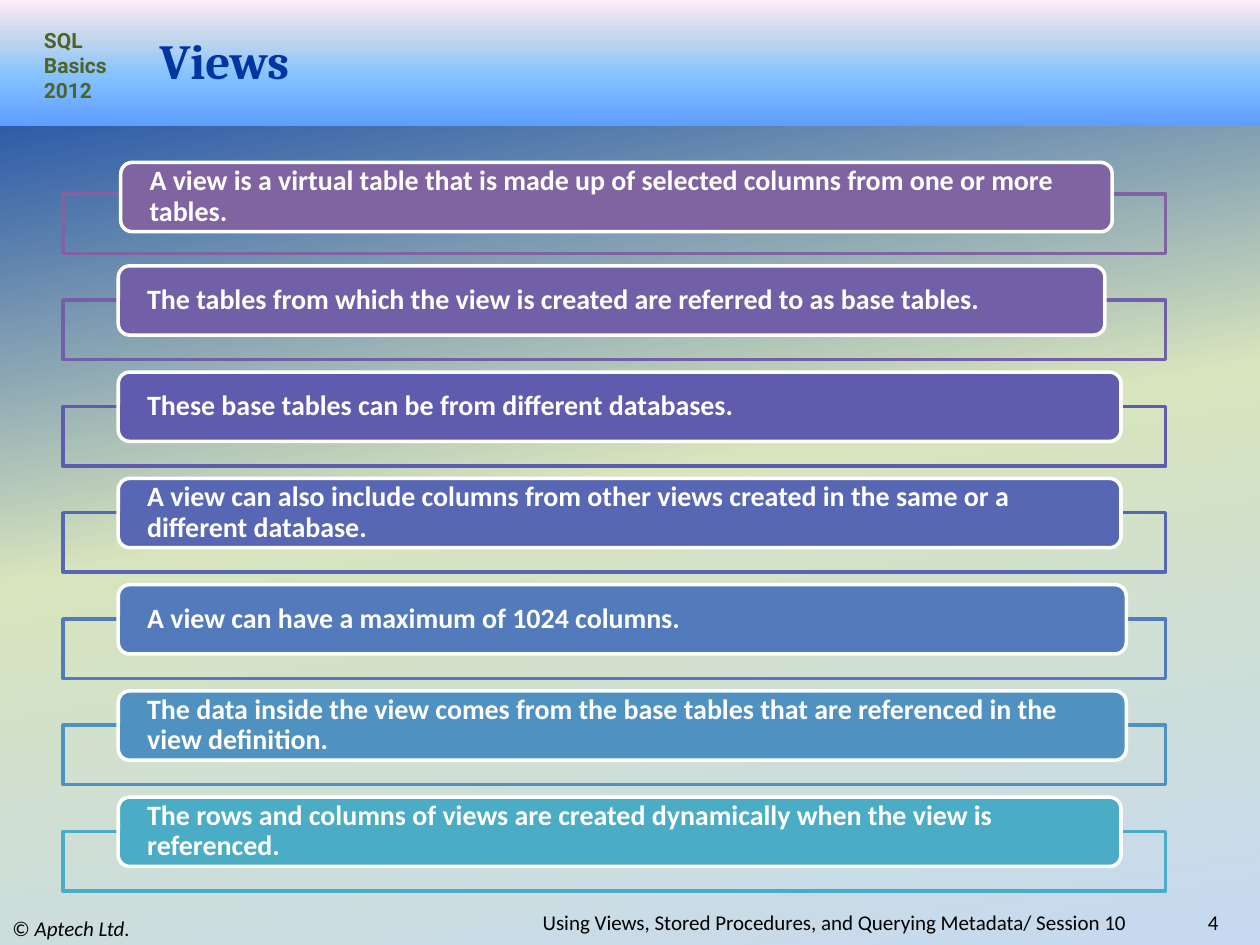
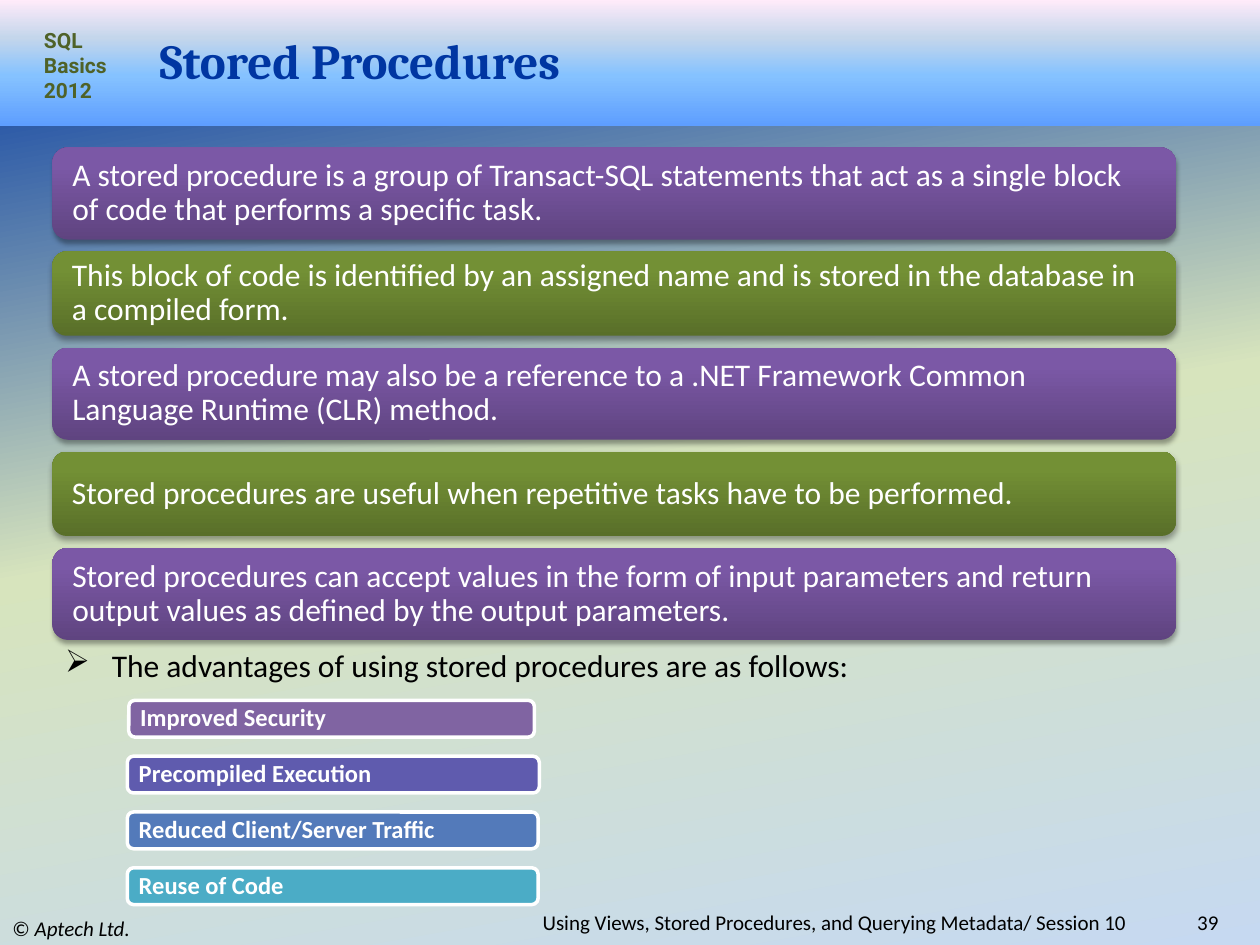
from lxml.etree import SubElement
from pptx import Presentation
from pptx.dml.color import RGBColor
from pptx.enum.shapes import MSO_SHAPE
from pptx.enum.text import MSO_ANCHOR, MSO_AUTO_SIZE, PP_ALIGN
from pptx.oxml.ns import qn
from pptx.util import Pt

COLORS = {
    "title": "0036A2",
    "course": "4F6228",
    "text": "000000",
    "white": "FFFFFF",
}
STEP_COLORS = ["8064A2", "7160A8", "5F5BAE", "5767B4", "537ABA", "4F91C0", "4BACC6"]
PAGE_GRADIENT = [(0, "0036A2"), (50, "D7E4BD"), (100, "C6D9F1")]
BAND_GRADIENT = [(0, "5E9EFF"), (40, "85C2FF"), (70, "C4D6EB"), (100, "FFEBFA")]
CARD_GRADIENTS = [
    [(0, "5F4480"), (80, "7B58A6"), (100, "7C57A8")],
    [(0, "596F29"), (80, "739035"), (100, "749334")],
]
FOOTER = "Using Views, Stored Procedures, and Querying Metadata/ Session 10"

VIEW_FACTS = [  # text, card width
    ("A view is a virtual table that is made up of selected columns from one or more tables.", 566.6),
    ("The tables from which the view is created are referred to as base tables.", 563.8),
    ("These base tables can be from different databases.", 573),
    ("A view can also include columns from other views created in the same or a different database.", 573),
    ("A view can have a maximum of 1024 columns.", 576),
    ("The data inside the view comes from the base tables that are referenced in the view definition.", 576),
    ("The rows and columns of views are created dynamically when the view is referenced.", 573),
]
PROCEDURE_FACTS = [
    "A stored procedure is a group of Transact-SQL statements that act as a single block of code "
    "that performs a specific task.",
    "This block of code is identified by an assigned name and is stored in the database in a compiled form.",
    "A stored procedure may also be a reference to a .NET Framework Common Language Runtime (CLR) method.",
    "Stored procedures are useful when repetitive tasks have to be performed.",
    "Stored procedures can accept values in the form of input parameters and return output values "
    "as defined by the output parameters.",
]
ADVANTAGES = [  # text, label width
    ("Improved Security", 231.8),
    ("Precompiled Execution", 235.4),
    ("Reduced Client/Server Traffic", 234.7),
    ("Reuse of Code", 234.7),
]


def rgb(color):
    return RGBColor.from_string(color)


def paint_gradient(fill, element, stops, angle):
    """Fill with colour stops; angle runs counter-clockwise."""
    fill.gradient()
    fill.gradient_angle = angle
    stop_list = next(element.iter(qn("a:gsLst")))
    for stop in list(stop_list):
        stop_list.remove(stop)
    for position, color in stops:
        stop = SubElement(stop_list, qn("a:gs"), pos=str(position * 1000))
        SubElement(stop, qn("a:srgbClr"), val=color)


def write(box, *spans, size=12, font="Calibri", color=COLORS["text"], bold=False, align=PP_ALIGN.LEFT,
          anchor=MSO_ANCHOR.MIDDLE, insets=(7.2, 3.6, 7.2, 3.6), spacing=None, bullet=None, hang=26.6):
    """Write spans, each a text or a (text, italic) pair, as one paragraph."""
    frame = box.text_frame
    frame.word_wrap = True
    frame.auto_size = MSO_AUTO_SIZE.NONE
    frame.vertical_anchor = anchor
    frame.margin_left, frame.margin_top, frame.margin_right, frame.margin_bottom = map(Pt, insets)
    para = frame.paragraphs[0]
    para.alignment = align
    if spacing:
        para.line_spacing = spacing
    if bullet:
        properties = para._p.get_or_add_pPr()
        properties.set("marL", str(Pt(hang)))
        properties.set("indent", str(-Pt(hang)))
        SubElement(properties, qn("a:buChar"), char=bullet)
    for span in spans:
        text, italic = span if isinstance(span, tuple) else (span, False)
        run = para.add_run()
        run.text = text
        run.font.name, run.font.size = font, Pt(size)
        run.font.bold, run.font.italic = bold, italic
        run.font.color.rgb = rgb(color)


def add_text(page, left, top, width, height, *spans, **style):
    box = page.shapes.add_textbox(Pt(left), Pt(top), Pt(width), Pt(height))
    write(box, *spans, **style)


def add_block(page, kind, left, top, width, height, fill=None, line=None):
    """Preset shape with a plain or gradient fill and an optional outline."""
    block = page.shapes.add_shape(kind, Pt(left), Pt(top), Pt(width), Pt(height))
    block.shadow.inherit = False
    if fill is None:
        block.fill.background()
    elif isinstance(fill, list):
        paint_gradient(block.fill, block.element, fill, 90)
    else:
        block.fill.solid()
        block.fill.fore_color.rgb = rgb(fill)
    if line:
        block.line.color.rgb = rgb(line)
        block.line.width = Pt(2)
    else:
        block.line.fill.background()
    return block


def add_label(page, left, top, width, height, text, fill, size, inset):
    """Rounded label with a white outline and bold white text."""
    label = add_block(page, MSO_SHAPE.ROUNDED_RECTANGLE, left, top, width, height, fill, COLORS["white"])
    write(label, text, size=size, color=COLORS["white"], bold=True, spacing=0.9, insets=(inset, 0, inset, 0))


def drop_shadow(block):
    effects = block.element.spPr.find(qn("a:effectLst"))
    shadow = SubElement(effects, qn("a:outerShdw"), blurRad=str(Pt(3.1)), dist=str(Pt(1.8)),
                        dir="5400000", rotWithShape="0")
    color = SubElement(shadow, qn("a:srgbClr"), val="000000")
    SubElement(color, qn("a:alpha"), val="35000")


def add_page(deck, title, number):
    """Page with the header band, title and footers."""
    page = deck.slides.add_slide(deck.slide_layouts[5])
    band = add_block(page, MSO_SHAPE.RECTANGLE, 0, 0, 720, 72, BAND_GRADIENT)
    add_text(page, 18, 12.2, 54, 51, "SQL Basics 2012", font="Roboto", color=COLORS["course"],
             bold=True, anchor=MSO_ANCHOR.TOP)

    heading = page.shapes.title
    band.element.addnext(heading.element)  # in front of the band
    heading.left, heading.top, heading.width, heading.height = map(Pt, (84, 18, 600, 32.4))
    write(heading, title, size=28, font="Cambria", color=COLORS["title"], bold=True)

    add_text(page, 0, 520.8, 240, 19.2, "© ", ("Aptech Ltd.", True))
    add_text(page, 180, 520.5, 471, 13, FOOTER, align=PP_ALIGN.RIGHT)
    add_text(page, 642, 520.5, 61.4, 13, str(number), align=PP_ALIGN.RIGHT)
    return page


def add_framed_list(page, left, top, width, pitch=60.72):
    """Labels that each overlap the top edge of an outlined frame."""
    for index, ((text, label_width), color) in enumerate(zip(VIEW_FACTS, STEP_COLORS)):
        frame_top = top + index * pitch
        add_block(page, MSO_SHAPE.RECTANGLE, left, frame_top, width, 34, line=color)
        shift, rise = (33, 18) if index == 0 else (31.6, 19.6)
        add_label(page, left + shift, frame_top - rise, label_width, 39.6, text, color, 16, 14.6)


def add_card_stack(page, left, top, width, gap=6.8):
    """Shaded cards in two alternating colours and heights."""
    for index, text in enumerate(PROCEDURE_FACTS):
        height = (52.6, 48.2)[index % 2]
        card = add_block(page, MSO_SHAPE.ROUNDED_RECTANGLE, left, top, width, height, CARD_GRADIENTS[index % 2])
        drop_shadow(card)
        write(card, text, size=18, color=COLORS["white"], spacing=0.9, insets=(8.8, 0, 11, 0))
        top += height + gap


def add_advantages(page, left, top, pitch=31.9):
    """Bulleted lead-in with a column of labels below it."""
    add_text(page, left, top, 660, 29, "The advantages of using stored procedures are as follows:",
             size=18, bullet="➢", anchor=MSO_ANCHOR.TOP)
    for index, ((text, width), color) in enumerate(zip(ADVANTAGES, STEP_COLORS[::2])):
        shift = 43.4 if index == 0 else 42.6
        add_label(page, left + shift, top + 34.4 + index * pitch, width, 21, text, color, 14, 5.5)


def main():
    deck = Presentation()
    deck.slide_width, deck.slide_height = Pt(720), Pt(540)
    master = deck.slide_master
    paint_gradient(master.background.fill, master.element, PAGE_GRADIENT, 280)

    views = add_page(deck, "Views", 4)
    add_framed_list(views, 36, 110.8, 630)

    procedures = add_page(deck, "Stored Procedures", 39)
    add_card_stack(procedures, 30, 84.3, 642)
    add_advantages(procedures, 30.2, 365.8)

    deck.save("out.pptx")


if __name__ == "__main__":
    main()
